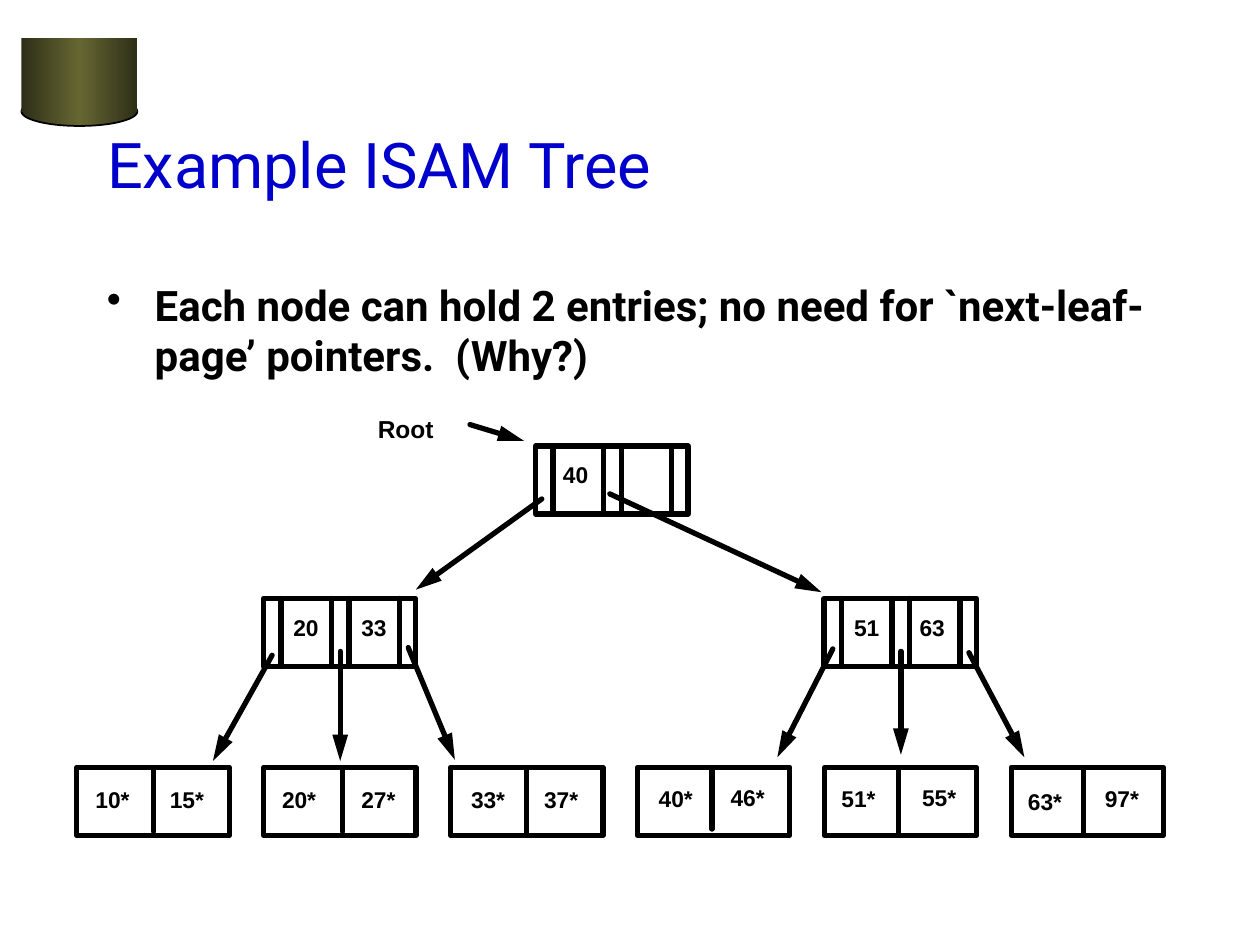
from copy import deepcopy
from typing import NamedTuple

from lxml import etree
from pptx import Presentation
from pptx import util as u
from pptx.dml.color import RGBColor
from pptx.enum import shapes, text
from pptx.oxml import ns

COLORS = {"ink": "000000", "title": "0000CC", "olive": "666633", "shade": "2F2F18"}
NODE_WIDTH, NODE_HEIGHT = 1.21, 0.54
LEAF_TOP, LEAF_LEFT, LEAF_STEP = 6.09, 0.61, 1.483
POINTER_BARS = (0.14, 0.54, 0.68, 1.08)


class Label(NamedTuple):
    """Text with its left and top in inches."""
    words: str
    left: float
    top: float


class Leaf(NamedTuple):
    """Leaf page: the place and foot of its divider, and its two entries."""
    divider: float
    foot: float
    entries: tuple[Label, Label]


class IndexNode(NamedTuple):
    """Index page with its keys."""
    left: float
    top: float
    keys: tuple[Label, ...]


class Arrow(NamedTuple):
    """Pointer from one point to another."""
    x1: float
    y1: float
    x2: float
    y2: float


LEAVES = [
    Leaf(1.22, 6.6, (Label("10*", 0.66, 6.19), Label("15*", 1.25, 6.19))),
    Leaf(2.72, 6.6, (Label("20*", 2.14, 6.19), Label("27*", 2.77, 6.19))),
    Leaf(4.18, 6.61, (Label("33*", 3.64, 6.19), Label("37*", 4.22, 6.19))),
    Leaf(5.65, 6.58, (Label("40*", 5.13, 6.18), Label("46*", 5.7, 6.17))),
    Leaf(7.13, 6.61, (Label("51*", 6.58, 6.18), Label("55*", 7.22, 6.17))),
    Leaf(8.6, 6.61, (Label("63*", 8.06, 6.2), Label("97*", 8.67, 6.18))),
]
INDEX_NODES = [
    IndexNode(2.09, 4.75, (Label("20", 2.23, 4.82), Label("33", 2.77, 4.82))),
    IndexNode(6.54, 4.75, (Label("51", 6.68, 4.82), Label("63", 7.2, 4.82))),
    IndexNode(4.25, 3.54, (Label("40", 4.37, 3.61),)),
]
ARROWS = [
    Arrow(3.73, 3.37, 4.16, 3.5),
    Arrow(4.3, 3.96, 3.3, 4.68), Arrow(4.84, 3.92, 6.52, 4.7),
    Arrow(2.16, 5.2, 1.69, 6.04), Arrow(2.7, 5.17, 2.7, 6.04),
    Arrow(3.24, 5.14, 3.61, 6.03), Arrow(6.61, 5.15, 6.17, 6.01),
    Arrow(7.15, 5.17, 7.15, 5.99), Arrow(7.69, 5.18, 8.13, 6.01),
]


def color(name: str) -> RGBColor:
    """Look up a named colour."""
    return RGBColor.from_string(COLORS[name])


def write(frame, words: str, *, size: float, font: str = "Arial",
          bold: bool = True, ink: str = "ink", wrap: bool = False,
          anchor=text.MSO_ANCHOR.TOP):
    """Put formatted, left-aligned text in a frame and return its paragraph."""
    frame.word_wrap = wrap
    frame.auto_size = text.MSO_AUTO_SIZE.NONE
    frame.vertical_anchor = anchor
    para = frame.paragraphs[0]
    para.alignment = text.PP_ALIGN.LEFT
    span = para.add_run()
    span.text = words
    span.font.size, span.font.name, span.font.bold = u.Pt(size), font, bold
    span.font.color.rgb = color(ink)
    return para


def add_label(page, label: Label, size: float = 13, width: float = 0.47) -> None:
    """Write a label of the tree."""
    box = page.shapes.add_textbox(u.Inches(label.left), u.Inches(label.top),
                                  u.Inches(width), u.Inches(0.32))
    write(box.text_frame, label.words, size=size)


def add_line(page, x1: float, y1: float, x2: float, y2: float,
             arrow: bool = False) -> None:
    """Draw a thick line, with an arrowhead at its end if wanted."""
    line = page.shapes.add_connector(shapes.MSO_CONNECTOR.STRAIGHT,
                                     *map(u.Inches, (x1, y1, x2, y2)))
    line.line.color.rgb = color("ink")
    line.line.width = u.Pt(3)
    properties = line._element.spPr
    outline = properties.find(ns.qn("a:ln"))
    outline.set("cap", "rnd")
    if arrow:
        etree.SubElement(outline, ns.qn("a:tailEnd"), type="triangle", w="med", len="lg")
    etree.SubElement(properties, ns.qn("a:effectLst"))


def add_frame(page, left: float, top: float) -> None:
    """Draw the outline of a tree node."""
    frame = page.shapes.add_shape(
        shapes.MSO_SHAPE.RECTANGLE,
        *map(u.Inches, (left, top, NODE_WIDTH, NODE_HEIGHT)))
    frame.shadow.inherit = False
    frame.fill.background()
    frame.line.color.rgb = color("ink")
    frame.line.width = u.Pt(3)


def add_index_node(page, node: IndexNode) -> None:
    """Draw an index page with its pointer slots and keys."""
    add_frame(page, node.left, node.top)
    for offset in POINTER_BARS:
        x = node.left + offset
        add_line(page, x, node.top, x, node.top + NODE_HEIGHT)
    for key in node.keys:
        add_label(page, key, width=0.4)


def add_leaf(page, index: int, leaf: Leaf) -> None:
    """Draw a leaf page with its divider and entries."""
    add_frame(page, LEAF_LEFT + index * LEAF_STEP, LEAF_TOP)
    add_line(page, leaf.divider, LEAF_TOP + 0.02, leaf.divider, leaf.foot)
    for entry in leaf.entries:
        add_label(page, entry)


def add_drum_part(page, kind, top: float, height: float, outlined: bool) -> None:
    """Draw one part of the shaded drum in the corner."""
    part = page.shapes.add_shape(kind, *map(u.Inches, (0.17, top, 0.92, height)))
    part.shadow.inherit = False
    part.fill.gradient()
    part.fill.gradient_angle = 0
    for stop, name in zip(part.fill.gradient_stops, ("shade", "olive")):
        stop.color.rgb = color(name)
    stops = part._element.spPr.find(".//" + ns.qn("a:gsLst"))
    stops.append(deepcopy(stops[0]))
    for stop, position in zip(stops, (0, 50000, 100000)):
        stop.set("pos", str(position))
    if outlined:
        part.line.color.rgb = color("ink")
        part.line.width = u.Pt(1)
    else:
        part.line.fill.background()


def add_heading(page) -> None:
    """Fill the title and write the bullet below it."""
    title = page.shapes.title
    title.left, title.top = u.Inches(0.75), u.Inches(0.67)
    title.width, title.height = u.Inches(8.5), u.Inches(1.25)
    write(title.text_frame, "Example ISAM Tree", size=36, font="Roboto",
          bold=False, ink="title", wrap=True, anchor=text.MSO_ANCHOR.MIDDLE)
    box = page.shapes.add_textbox(*map(u.Inches, (0.75, 2.17, 8.5, 4.5)))
    para = write(box.text_frame, "Each node can hold 2 entries; no need for "
                 "`next-leaf-page\u2019 pointers.  (Why?)",
                 size=24, font="Roboto", wrap=True)
    para.space_before = u.Pt(6)
    properties = para._p.get_or_add_pPr()
    properties.set("marL", str(u.Inches(0.38)))
    properties.set("indent", str(u.Inches(-0.38)))
    etree.SubElement(properties, ns.qn("a:buChar"), char="\u2022")


def main() -> None:
    """Build the slide and save the deck."""
    deck = Presentation()
    deck.slide_width, deck.slide_height = u.Inches(10), u.Inches(7.5)
    page = deck.slides.add_slide(deck.slide_layouts.get_by_name("Title Only"))
    add_drum_part(page, shapes.MSO_SHAPE.OVAL, 0.77, 0.23, True)
    add_drum_part(page, shapes.MSO_SHAPE.RECTANGLE, 0.3, 0.59, False)
    add_heading(page)
    for index, leaf in enumerate(LEAVES):
        add_leaf(page, index, leaf)
    for node in INDEX_NODES:
        add_index_node(page, node)
    for arrow in ARROWS:
        add_line(page, *arrow, arrow=True)
    add_label(page, Label("Root", 2.9, 3.24), size=14, width=0.65)
    deck.save("out.pptx")


main()
